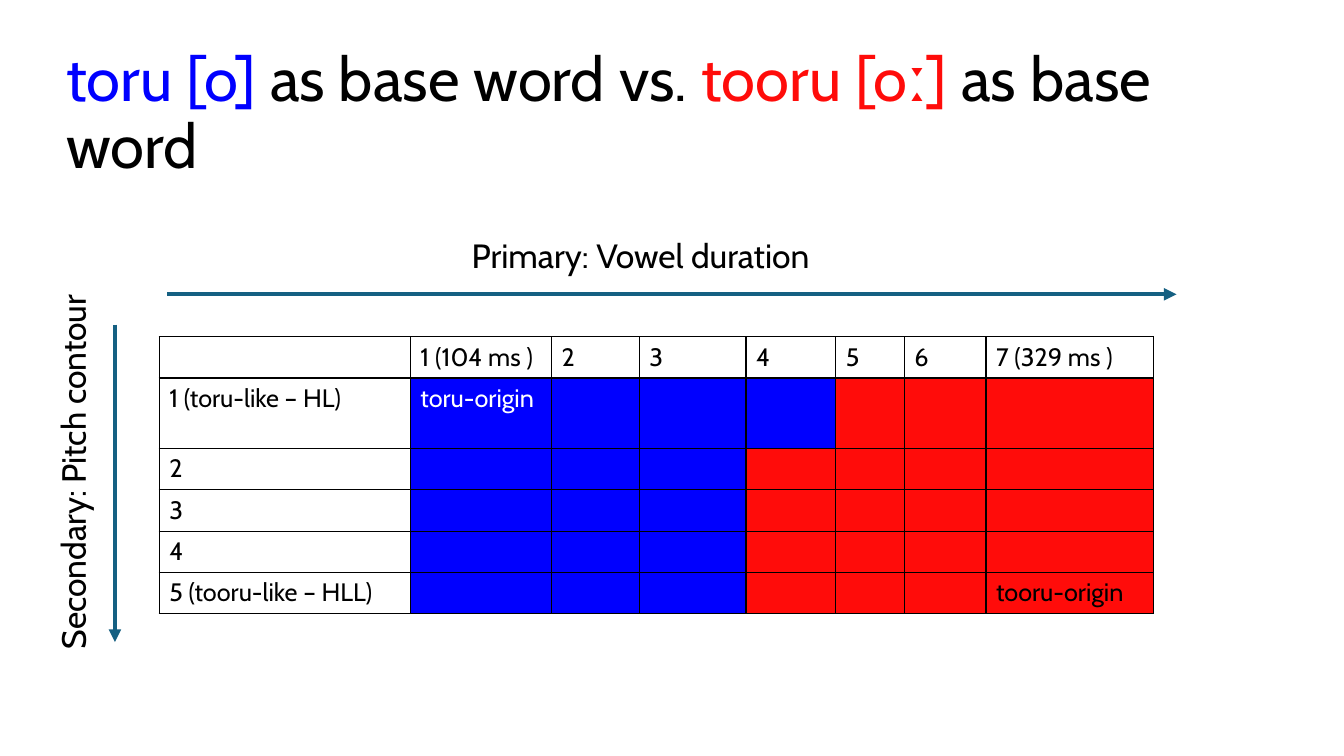
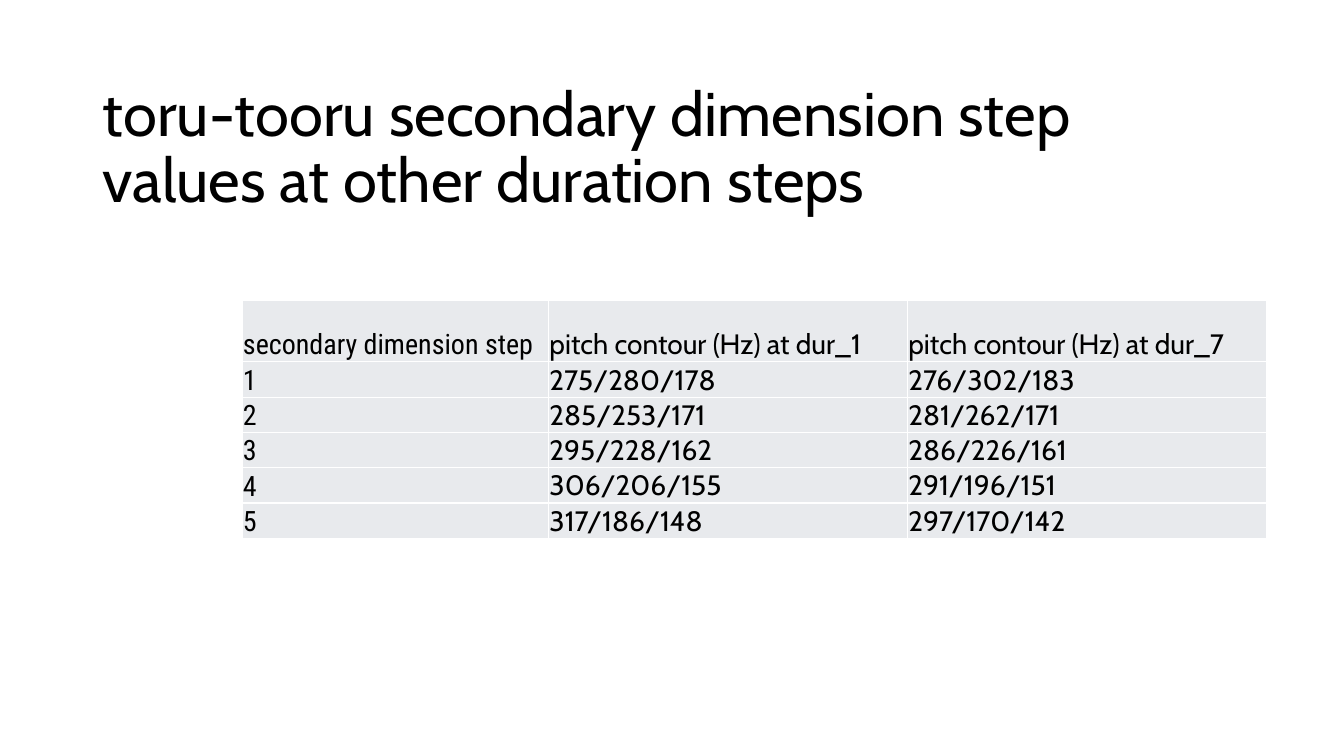
from lxml import etree
from pptx import Presentation
from pptx.dml.color import RGBColor
from pptx.enum import shapes, text
from pptx.oxml import ns
from pptx.util import Inches, Pt

BLACK = RGBColor(0x00, 0x00, 0x00)
WHITE = RGBColor(0xFF, 0xFF, 0xFF)
BLUE = RGBColor(0x00, 0x00, 0xFF)
RED = RGBColor(0xFF, 0x0C, 0x0A)
TEAL = RGBColor(0x15, 0x60, 0x82)
GREY = RGBColor(0xE8, 0xEA, 0xED)
FONT = "Cabin"
NARROW_FONT = "Roboto Condensed"

ORIGIN_TITLE = [
    ("toru [o] ", BLUE),
    ("as base word vs. ", BLACK),
    ("tooru [oː]", RED),
    (" as base word", BLACK),
]
DURATION_STEPS = ["1 (104 ms )", "2", "3", "4", "5", "6", "7 (329 ms )"]
# Pitch step, number of toru (blue) duration steps, row height
PITCH_STEPS = [
    ("1 (toru-like – HL)", 4, 0.7),
    ("2", 3, 0.41),
    ("3", 3, 0.41),
    ("4", 3, 0.41),
    ("5 (tooru-like – HLL)", 3, 0.41),
]
ORIGIN_WIDTHS = [2.49, 1.4, 0.87, 1.06, 0.89, 0.68, 0.81, 1.66]

CONTOUR_TITLE = [
    ("toru-tooru secondary dimension step values at other duration steps", BLACK)
]
CONTOURS = [
    ("secondary dimension step", "pitch contour (Hz) at dur_1", "pitch contour (Hz) at dur_7"),
    ("1", "275/280/178", "276/302/183"),
    ("2", "285/253/171", "281/262/171"),
    ("3", "295/228/162", "286/226/161"),
    ("4", "306/206/155", "291/196/151"),
    ("5", "317/186/148", "297/170/142"),
]
CONTOUR_WIDTHS = [3.04, 3.56, 3.56]
CONTOUR_HEIGHTS = [0.61] + [0.35] * 5


def style_font(font, size, color=BLACK, name=FONT):
    font.size = Pt(size)
    font.name = name
    font.color.rgb = color


def add_text(slide, box, runs, size):
    shape = slide.shapes.add_textbox(*map(Inches, box))
    shape.text_frame.word_wrap = True
    paragraph = shape.text_frame.paragraphs[0]
    for words, color in runs:
        run = paragraph.add_run()
        run.text = words
        style_font(run.font, size, color)
    return shape


def add_title(slide, box, runs):
    title = add_text(slide, box, runs, 44)
    title.text_frame.vertical_anchor = text.MSO_ANCHOR.MIDDLE
    title.text_frame.paragraphs[0].line_spacing = 0.9


def add_arrow(slide, start, end):
    arrow = slide.shapes.add_connector(
        shapes.MSO_CONNECTOR.STRAIGHT, *map(Inches, start + end))
    arrow.line.color.rgb = TEAL
    arrow.line.width = Pt(3)
    etree.SubElement(arrow.line._get_or_add_ln(), ns.qn("a:tailEnd"), type="triangle")
    etree.SubElement(arrow._element.spPr, ns.qn("a:effectLst"))


def add_table(slide, left, top, widths, heights):
    table = slide.shapes.add_table(
        len(heights), len(widths), Inches(left), Inches(top),
        Inches(sum(widths)), Inches(sum(heights))).table
    table.first_row = table.horz_banding = False
    for column, width in zip(table.columns, widths):
        column.width = Inches(width)
    for row, height in zip(table.rows, heights):
        row.height = Inches(height)
    return table


def fill_cell(cell, words, fill, border, size, color=BLACK, font=FONT):
    cell.text = words
    style_font(cell.text_frame.paragraphs[0].font, size, color, font)
    cell.fill.solid()
    cell.fill.fore_color.rgb = fill
    properties = cell._tc.get_or_add_tcPr()
    for index, side in enumerate(("lnL", "lnR", "lnT", "lnB")):
        line = etree.Element(ns.qn("a:" + side), w=str(Pt(1)))
        solid = etree.SubElement(line, ns.qn("a:solidFill"))
        etree.SubElement(solid, ns.qn("a:srgbClr"), val=str(border))
        properties.insert(index, line)


def build_origin_slide(slide):
    add_title(slide, (0.56, 0.54, 12.21, 1.2), ORIGIN_TITLE)
    heights = [0.41] + [height for _, _, height in PITCH_STEPS]
    table = add_table(slide, 1.58, 3.34, ORIGIN_WIDTHS, heights)
    for column, label in enumerate([""] + DURATION_STEPS):
        fill_cell(table.cell(0, column), label, WHITE, BLACK, 18)
    origins = {(1, 1): ("toru-origin", WHITE),
               (len(PITCH_STEPS), len(DURATION_STEPS)): ("tooru-origin", BLACK)}
    for row, (label, toru_count, _) in enumerate(PITCH_STEPS, 1):
        fill_cell(table.cell(row, 0), label, WHITE, BLACK, 18)
        for column in range(1, len(ORIGIN_WIDTHS)):
            words, color = origins.get((row, column), ("", BLACK))
            fill = BLUE if column <= toru_count else RED
            fill_cell(table.cell(row, column), words, fill, BLACK, 18, color)
    add_arrow(slide, (1.66, 2.92), (11.67, 2.92))
    add_text(slide, (4.58, 2.28, 5.34, 0.5), [("Primary: Vowel duration", BLACK)], 24)
    add_arrow(slide, (1.14, 3.22), (1.14, 6.37))
    pitch_label = add_text(
        slide, (-1.22, 4.35, 3.88, 0.5), [("Secondary: Pitch contour", BLACK)], 24)
    pitch_label.rotation = 270


def build_contour_slide(slide):
    add_title(slide, (0.92, 0.76, 11.5, 1.45), CONTOUR_TITLE)
    table = add_table(slide, 2.4, 2.98, CONTOUR_WIDTHS, CONTOUR_HEIGHTS)
    for row, values in enumerate(CONTOURS):
        for column, value in enumerate(values):
            cell = table.cell(row, column)
            font = FONT if column else NARROW_FONT
            fill_cell(cell, value, GREY, WHITE, 20, font=font)
            cell.vertical_anchor = text.MSO_ANCHOR.BOTTOM
            cell.margin_left = cell.margin_right = cell.margin_top = Inches(0.01)
            cell.margin_bottom = 0


def main():
    presentation = Presentation()
    presentation.slide_width = Inches(13.33)
    presentation.slide_height = Inches(7.5)
    for build in (build_origin_slide, build_contour_slide):
        build(presentation.slides.add_slide(presentation.slide_layouts[6]))
    presentation.save("out.pptx")


if __name__ == "__main__":
    main()
